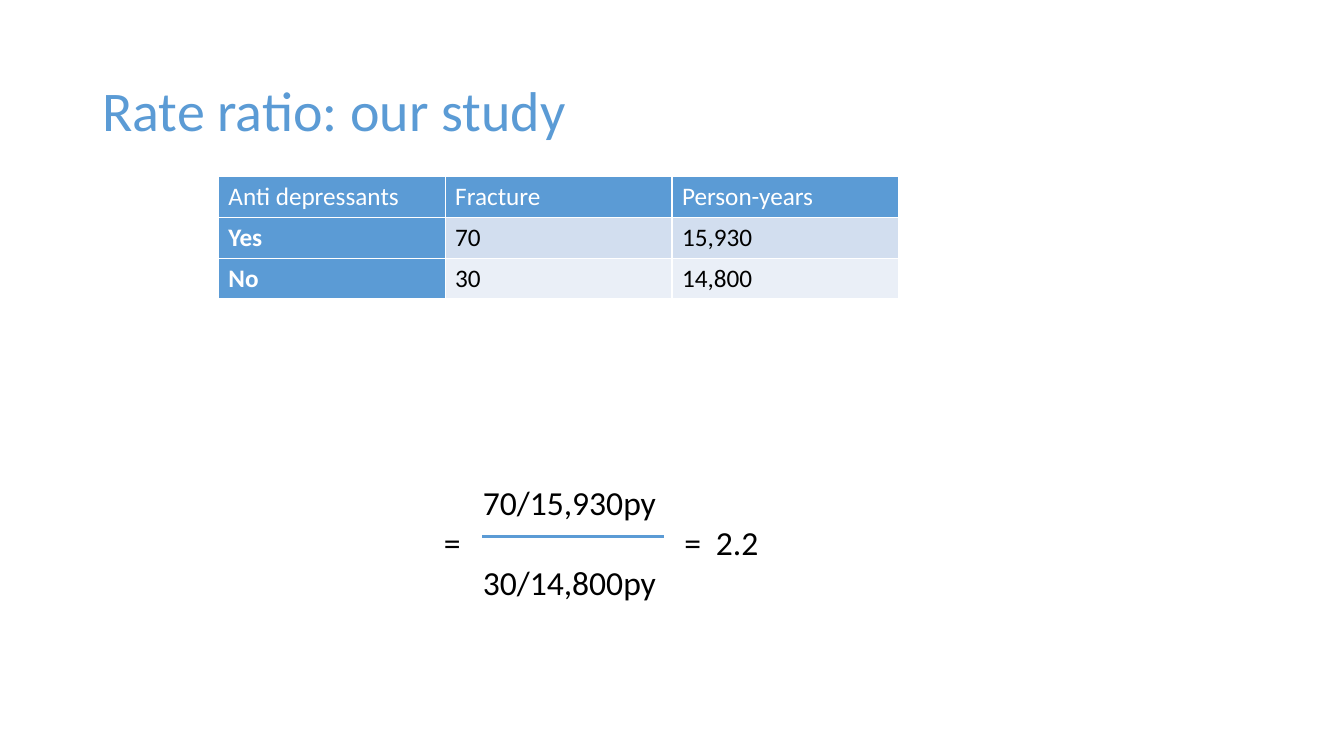
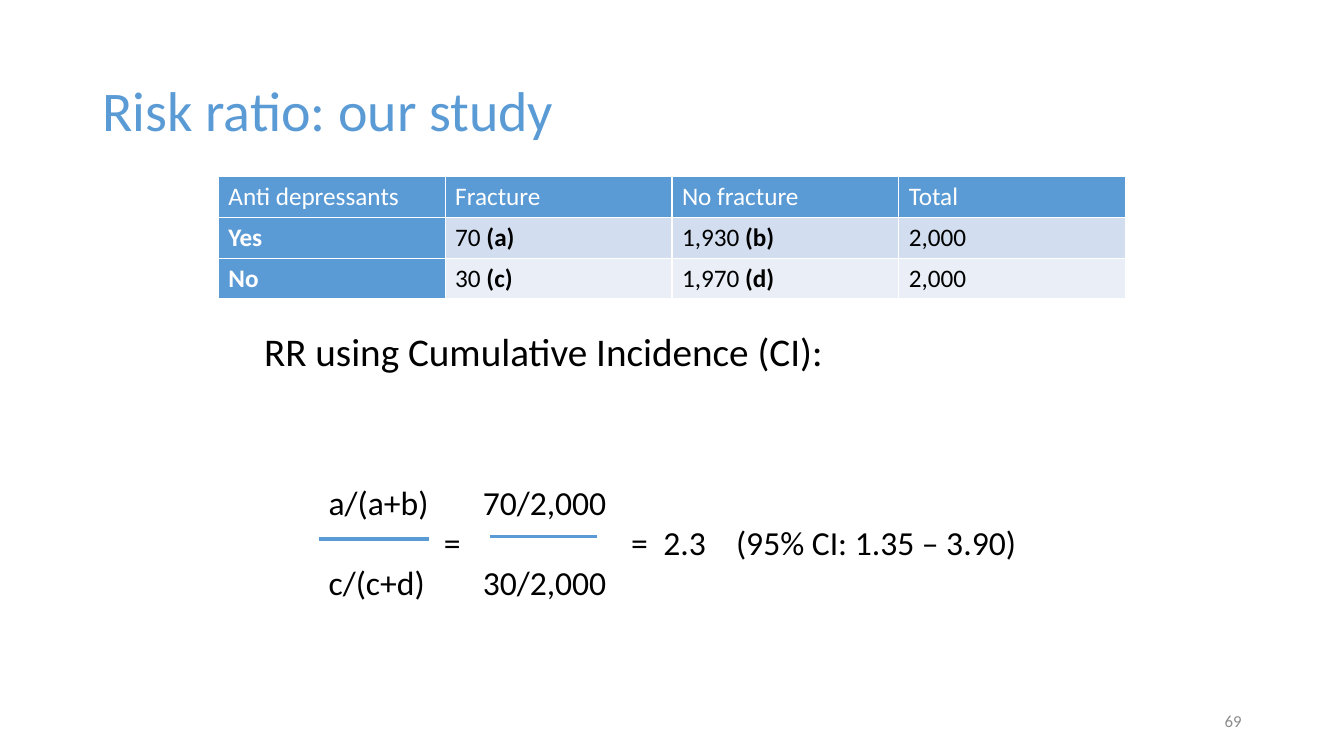
import dataclasses
import typing

import lxml.etree
import pptx
import pptx.dml.color
import pptx.enum.shapes
import pptx.enum.text
import pptx.oxml
import pptx.oxml.ns
import pptx.util

GRID_COLUMNS, GRID_ROWS = 160, 90
UNIT = pptx.util.Inches(13.333) / GRID_COLUMNS
FONT = "Calibri"
BLUE, BLACK, WHITE, GREY = "5B9BD5", "000000", "FFFFFF", "8C8C8C"
BODY_FILLS = ("D2DEEF", "EAEFF7")
TABLE_LEFT, TABLE_TOP, TABLE_COLUMN, TABLE_ROW = 26, 21, 27, 4.87
FORMULA_LEFT, FORMULA_TOP, FORMULA_HEIGHT = 37.95, 56.75, 15.7
FRACTION_TAB = 18.35


class Span(typing.NamedTuple):
    text: str
    bold: bool = False


class Area(typing.NamedTuple):
    left: float
    top: float
    width: float
    height: float


class Bar(typing.NamedTuple):
    start: float
    end: float
    row: float


@dataclasses.dataclass(frozen=True)
class Line:
    text: str
    tabs: tuple[float, ...]


@dataclasses.dataclass(frozen=True)
class Study:
    title: str
    header: tuple[str, ...]
    body: tuple[tuple[tuple[Span, ...], ...], ...]
    formula: tuple[Line, ...]
    formula_width: float
    bars: tuple[Bar, ...]
    caption: str = ""
    number: str = ""


STUDIES = (
    Study(
        title="Rate ratio: our study",
        header=("Anti depressants", "Fracture", "Person-years"),
        body=(
            ((Span("Yes", True),), (Span("70"),), (Span("15,930"),)),
            ((Span("No", True),), (Span("30"),), (Span("14,800"),)),
        ),
        formula=(
            Line("\t70/15,930py", (FRACTION_TAB,)),
            Line("\t=\t=\t2.2", (13.7, 42.35, 46.1)),
            Line("\t30/14,800py", (FRACTION_TAB,)),
        ),
        formula_width=59.5,
        bars=(Bar(57.4, 79.1, 63.85),),
    ),
    Study(
        title="Risk ratio: our study",
        header=("Anti depressants", "Fracture", "No fracture", "Total"),
        body=(
            ((Span("Yes", True),), (Span("70"), Span(" (a)", True)),
             (Span("1,930 "), Span("(b)", True)), (Span("2,000"),)),
            ((Span("No", True),), (Span("30 "), Span("(c)", True)),
             (Span("1,970 "), Span("(d)", True)), (Span("2,000"),)),
        ),
        formula=(
            Line("a/(a+b)\t70/2,000", (FRACTION_TAB,)),
            Line("\t=\t=\t2.3\t(95% CI: 1.35 – 3.90)", (13.7, 36, 39.85, 48.5)),
            Line("c/(c+d)\t30/2,000", (FRACTION_TAB,)),
        ),
        formula_width=90.2,
        bars=(Bar(37.95, 51.1, 64.2), Bar(58.3, 71.05, 63.85)),
        caption="RR using Cumulative Incidence (CI):",
        number="69",
    ),
)


def length(units: float) -> pptx.util.Emu:
    return pptx.util.Emu(round(units * UNIT))


def color(code: str) -> pptx.dml.color.RGBColor:
    return pptx.dml.color.RGBColor.from_string(code)


def write(paragraph, text: str, *, size: float, code: str = BLACK, bold: bool = False) -> None:
    span = paragraph.add_run()
    span.text = text
    span.font.name = FONT
    span.font.size = pptx.util.Pt(size)
    span.font.bold = bold
    span.font.color.rgb = color(code)


def set_tabs(paragraph, stops: tuple[float, ...]) -> None:
    properties = paragraph._p.get_or_add_pPr()
    tabs = lxml.etree.SubElement(properties, pptx.oxml.ns.qn("a:tabLst"))
    for stop in stops:
        lxml.etree.SubElement(tabs, pptx.oxml.ns.qn("a:tab"), pos=str(length(stop)), algn="l")


def add_text(page, area: Area, lines: tuple[Line, ...], *, size: float, code: str = BLACK,
             middle: bool = False, right: bool = False, spacing: float = 1.0) -> None:
    box = page.shapes.add_textbox(*map(length, area))
    frame = box.text_frame
    frame.word_wrap = True
    anchors = pptx.enum.text.MSO_ANCHOR
    frame.vertical_anchor = anchors.MIDDLE if middle else anchors.TOP
    for index, line in enumerate(lines):
        paragraph = frame.add_paragraph() if index else frame.paragraphs[0]
        if line.tabs:
            set_tabs(paragraph, line.tabs)
        alignments = pptx.enum.text.PP_ALIGN
        paragraph.alignment = alignments.RIGHT if right else alignments.LEFT
        paragraph.line_spacing = spacing
        write(paragraph, line.text, size=size, code=code)


def add_borders(cell) -> None:
    properties = cell._tc.get_or_add_tcPr()
    for side in ("L", "R", "T", "B"):
        border = lxml.etree.SubElement(properties, pptx.oxml.ns.qn(f"a:ln{side}"),
                                       w=str(pptx.util.Pt(1)))
        fill = lxml.etree.SubElement(border, pptx.oxml.ns.qn("a:solidFill"))
        lxml.etree.SubElement(fill, pptx.oxml.ns.qn("a:srgbClr"), val=WHITE)


def add_table(page, study: Study) -> None:
    rows = (tuple((Span(label),) for label in study.header), *study.body)
    columns = len(study.header)
    area = Area(TABLE_LEFT, TABLE_TOP, columns * TABLE_COLUMN, len(rows) * TABLE_ROW)
    table = page.shapes.add_table(len(rows), columns, *map(length, area)).table
    for column in table.columns:
        column.width = length(TABLE_COLUMN)
    for row_index, row in enumerate(rows):
        table.rows[row_index].height = length(TABLE_ROW)
        for column_index, spans in enumerate(row):
            cell = table.cell(row_index, column_index)
            heading = row_index == 0 or column_index == 0
            add_borders(cell)
            cell.fill.solid()
            cell.fill.fore_color.rgb = color(BLUE if heading else BODY_FILLS[row_index - 1])
            for span in spans:
                write(cell.text_frame.paragraphs[0], span.text, size=18,
                      code=WHITE if heading else BLACK, bold=span.bold)


def add_bar(page, bar: Bar) -> None:
    row = length(bar.row)
    line = page.shapes.add_connector(pptx.enum.shapes.MSO_CONNECTOR.STRAIGHT,
                                     length(bar.start), row, length(bar.end), row)
    line.line.color.rgb = color(BLUE)
    line.line.width = pptx.util.Pt(2.5)
    lxml.etree.SubElement(line._element.spPr, pptx.oxml.ns.qn("a:effectLst"))


def add_study(deck, study: Study) -> None:
    page = deck.slides.add_slide(deck.slide_layouts[6])
    add_text(page, Area(11, 4.8, 138, 17.4), (Line(study.title, ()),),
             size=40, code=BLUE, middle=True, spacing=0.9)
    add_table(page, study)
    if study.number:
        add_text(page, Area(113, 83.4, 36, 4.8), (Line(study.number, ()),),
                 size=12, code=GREY, middle=True, right=True)
    if study.caption:
        add_text(page, Area(30.25, 38.4, 103.5, 6.8), (Line(study.caption, ()),), size=28)
    add_text(page, Area(FORMULA_LEFT, FORMULA_TOP, study.formula_width, FORMULA_HEIGHT),
             study.formula, size=24)
    for bar in study.bars:
        add_bar(page, bar)


def main() -> None:
    deck = pptx.Presentation()
    deck.slide_width = length(GRID_COLUMNS)
    deck.slide_height = length(GRID_ROWS)
    for study in STUDIES:
        add_study(deck, study)
    deck.save("out.pptx")


if __name__ == "__main__":
    main()
